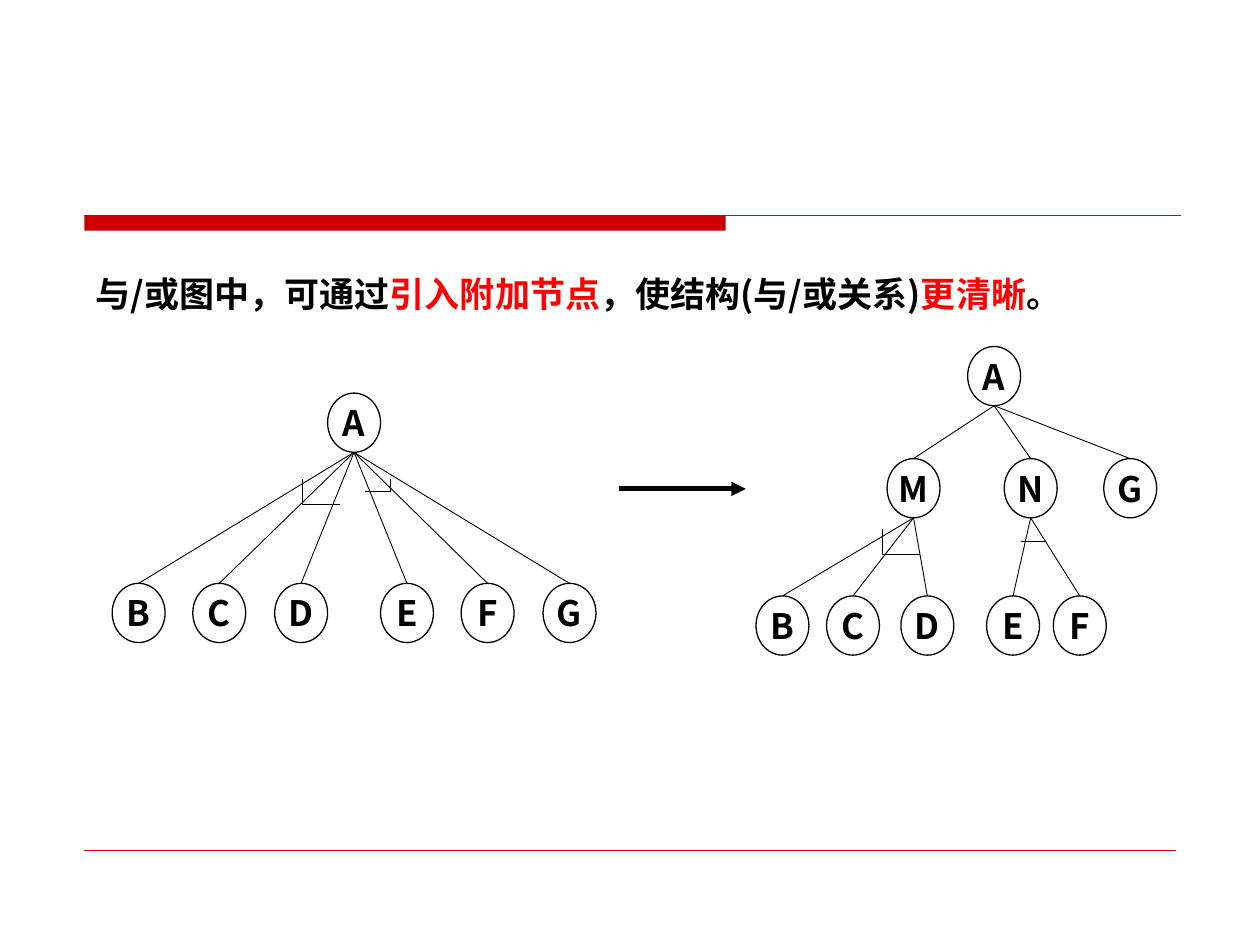
from pptx import Presentation
from pptx.dml.color import RGBColor
from pptx.enum.shapes import MSO_CONNECTOR as Conn, MSO_SHAPE as Kind
from pptx.enum.text import MSO_ANCHOR as Anchor, PP_ALIGN as Align
from pptx.oxml.ns import qn
from pptx.util import Inches, Pt
from lxml.etree import SubElement as sub

BLACK = RGBColor(0, 0, 0)
RED = RGBColor(255, 0, 0)
BRAND = RGBColor(204, 0, 0)
CELL = Inches(0.1)


def write(para, text, color=BLACK, size=20, bold=True, face="Noto Sans CJK SC"):
    run = para.add_run()
    run.text = text
    font = run.font
    font.size, font.bold, font.name = Pt(size), bold, face
    font.color.rgb = color
    sub(run._r.get_or_add_rPr(), qn("a:ea"), typeface=face)


class Board:
    """Draws on one slide with a grid of 100 columns and 75 rows."""

    wide, high = 4.2, 4.7

    def __init__(self, slide):
        self.shapes = slide.shapes

    def grid(self, *spans):
        return [round(span * CELL) for span in spans]

    def frame(self, shape, wrap=True, anchor=Anchor.MIDDLE):
        body = shape.text_frame
        body.margin_left = body.margin_right = 0
        body.margin_top = body.margin_bottom = 0
        body.word_wrap, body.vertical_anchor = wrap, anchor
        return body.paragraphs[0]

    def title(self, parts, *box):
        para = self.frame(self.shapes.add_textbox(*self.grid(*box)))
        para.line_spacing = 1.5
        for text, color in parts:
            write(para, text, color)

    def bar(self, color, *box):
        shape = self.shapes.add_shape(Kind.RECTANGLE, *self.grid(*box))
        shape.shadow.inherit = False
        shape.fill.solid()
        shape.fill.fore_color.rgb = color
        shape.line.fill.background()

    def line(self, start, end, color=BLACK, width=0.5, head=False):
        link = self.shapes.add_connector(Conn.STRAIGHT, *self.grid(*start, *end))
        link.line.color.rgb, link.line.width = color, Pt(width)
        if head:
            sub(link.line._get_or_add_ln(), qn("a:tailEnd"), type="triangle")
        sub(link._element.spPr, qn("a:effectLst"))

    def node(self, name, mid, top):
        box = self.grid(mid - self.wide / 2, top, self.wide, self.high)
        shape = self.shapes.add_shape(Kind.OVAL, *box)
        shape.shadow.inherit = False
        shape.fill.background()
        shape.line.color.rgb, shape.line.width = BLACK, Pt(0.75)
        para = self.frame(shape, wrap=False)
        para.alignment = Align.CENTER
        write(para, name)

    def tree(self, root, kids):
        name, mid, top = root
        self.node(name, mid, top)
        for kid in kids:
            self.line((mid, top + self.high), kid[1:])

    def arc(self, start, *curves, steps=8):
        spots, last = [], start
        for curve in curves:
            for step in range(1, steps + 1):
                t = step / steps
                mix = ((1 - t) ** 3, 3 * t * (1 - t) ** 2, 3 * t * t * (1 - t), t ** 3)
                ends = (last, *curve)
                spots.append([sum(m * e[axis] for m, e in zip(mix, ends)) for axis in (0, 1)])
            last = curve[-1]
        pen = self.shapes.build_freeform(*start, scale=CELL)
        pen.add_line_segments(spots, close=False)
        shape = pen.convert_to_shape()
        shape.shadow.inherit = False
        shape.fill.background()
        shape.line.color.rgb, shape.line.width = BLACK, Pt(0.5)


def main():
    deck = Presentation()
    deck.slide_width, deck.slide_height = Inches(10), Inches(7.5)
    board = Board(deck.slides.add_slide(deck.slide_layouts[6]))

    board.bar(BRAND, 6.7, 17.1, 50.9, 1.2)
    board.line((6.7, 17.1), (93.7, 17.1), BRAND, 0.75)
    board.line((6.7, 67.5), (93.3, 67.5), BRAND, 0.25)
    board.title([("与/或图中，可通过", BLACK), ("引入附加节点", RED),
                 ("，使结构(与/或关系)", BLACK), ("更清晰", RED), ("。", BLACK)],
                7.6, 19.9, 85.8, 5.1)

    mids = (11, 17.4, 23.9, 32.3, 38.7, 45.2)
    flat = [(name, mid, 46.3) for name, mid in zip("BCDEFG", mids)]
    board.tree(("A", 28.1, 31.2), flat)

    mids = (62.1, 67.7, 73.6, 80.4, 85.7)
    low = [(name, mid, 47.3) for name, mid in zip("BCDEF", mids)]
    high = [(name, mid, 36.4) for name, mid in zip("MNG", (72.5, 81.8, 89.7))]
    board.tree(("A", 78.9, 27.5), high)
    board.tree(high[0], low[:3])
    board.tree(high[1], low[3:])
    for leaf in (*flat, *low, high[2]):
        board.node(*leaf)

    board.arc((23.9, 38.5), ((23.8, 39), (23.7, 39.6), (24.2, 39.7)),
              ((24.6, 39.9), (25.7, 39.7), (26.7, 39.5)))
    board.arc((29.4, 39.2), ((29.8, 39.3), (30.1, 39.4), (30.4, 39.3)),
              ((30.6, 39.2), (30.6, 38.8), (30.6, 38.5)))
    board.arc((69.9, 42.5), ((70, 43.1), (70, 43.6), (70.5, 43.8)),
              ((71, 44), (72, 43.7), (73, 43.5)))
    board.arc((81.4, 43), ((81.7, 43.2), (82, 43.4), (82.2, 43.4)),
              ((82.4, 43.4), (82.6, 43.1), (82.8, 42.8)))
    board.line((49.1, 38.8), (59.2, 38.8), width=2.75, head=True)
    deck.save("out.pptx")


if __name__ == "__main__":
    main()
